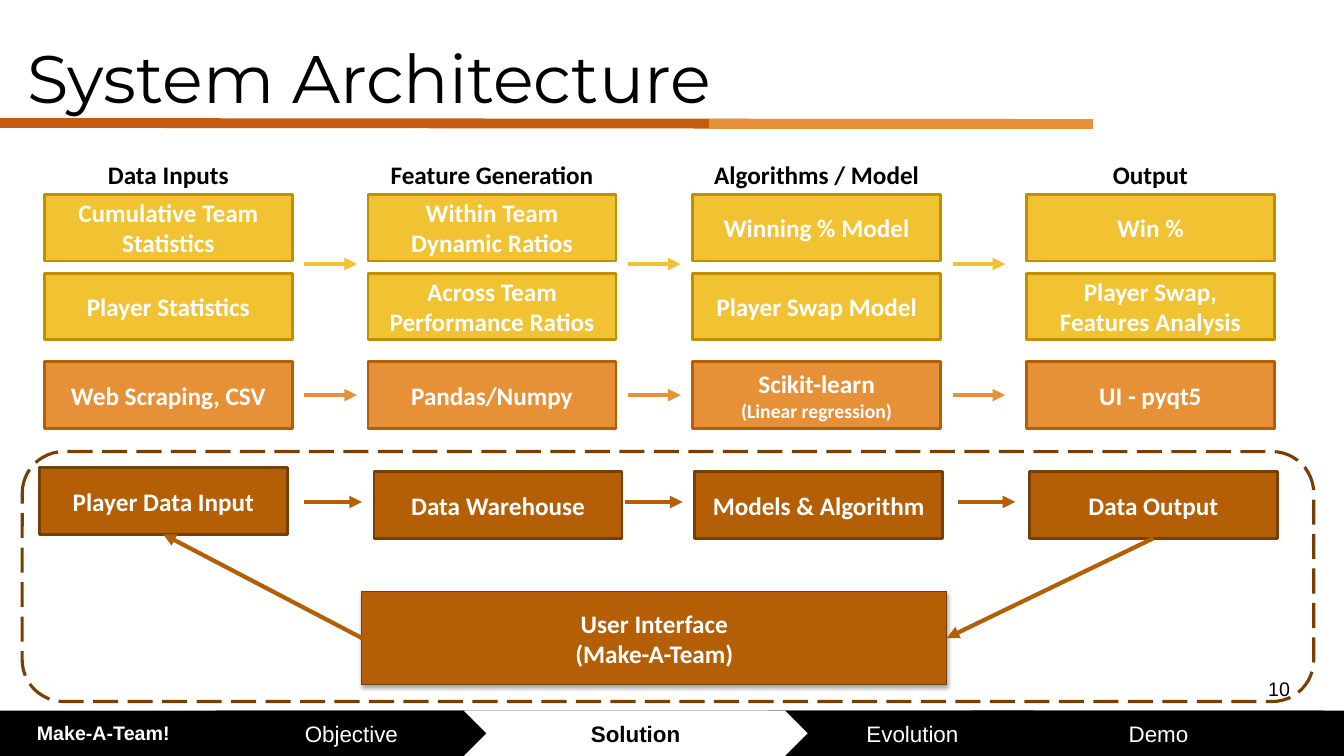
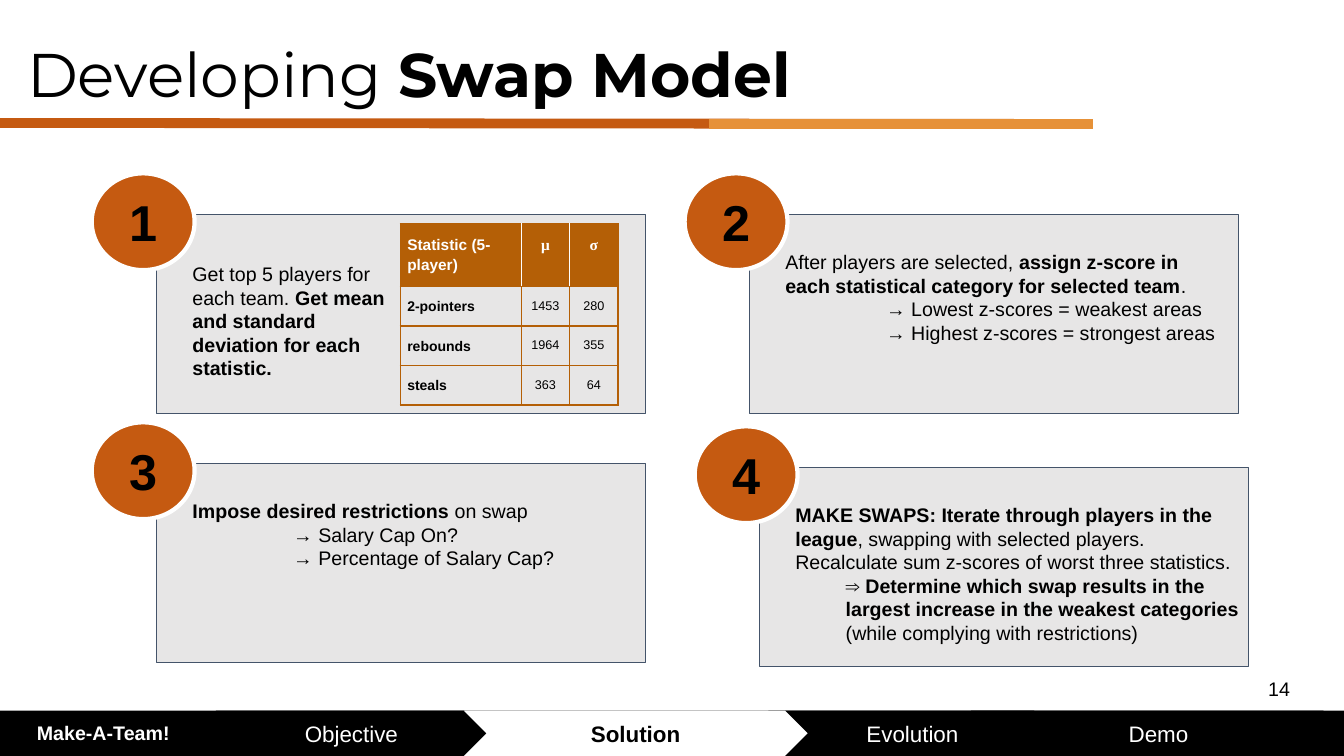
"""Build two slides: a system architecture diagram and the swap model steps."""
from dataclasses import dataclass
from typing import NamedTuple, Optional

from lxml.etree import SubElement
from pptx import Presentation
from pptx.dml.color import RGBColor
from pptx.enum.dml import MSO_LINE
from pptx.enum.shapes import MSO_CONNECTOR, MSO_SHAPE
from pptx.enum.text import MSO_ANCHOR as Anchor, PP_ALIGN as Align
from pptx.oxml.ns import qn
from pptx.oxml.xmlchemy import OxmlElement
from pptx.shapes.autoshape import Shape
from pptx.shapes.connector import Connector
from pptx.slide import Slide
from pptx.table import _Cell as Cell
from pptx.text.text import TextFrame
from pptx.util import Emu, Inches, Pt

COLUMNS, ROWS = 133.3, 75
GRID = Inches(0.1)


@dataclass(frozen=True)
class Theme:
    black: str = "000000"
    white: str = "FFFFFF"
    rust: str = "C55A11"
    orange: str = "E69138"
    brown: str = "B45F06"
    dark_brown: str = "783F04"
    yellow: str = "F1C232"
    gold: str = "BF9000"
    card: str = "E7E6E6"
    card_edge: str = "44546A"
    sans: str = "Arial"
    diagram: str = "Calibri"
    display: str = "Montserrat"
    greek: str = "Times New Roman"
    title: int = 48
    long_title: int = 44
    badge: int = 36
    node: int = 18
    tab: int = 16
    body: int = 14
    table_head: int = 11
    table_label: int = 10
    table_value: int = 9


THEME = Theme()


class Box(NamedTuple):
    left: float
    top: float
    width: float
    height: float


class Type(NamedTuple):
    size: int
    font: str = THEME.sans
    color: str = THEME.black
    bold: bool = False
    align: Align = Align.LEFT


class Outline(NamedTuple):
    color: str
    width: float


class Tab(NamedTuple):
    label: str
    left: float
    width: float
    active: bool = False


class Node(NamedTuple):
    label: str
    left: float
    top: float
    note: str = ""


class Flow(NamedTuple):
    fill: str
    edge: str
    nodes: tuple[Node, ...]
    arrow_row: float
    arrow_lefts: tuple[float, ...]
    arrow_length: float


class Card(NamedTuple):
    text: str
    left: float
    top: float
    text_width: float = 45.8
    text_drop: float = 2.5
    indent: float = 10


NODE_TYPE = Type(THEME.node, THEME.diagram, THEME.white, True, Align.CENTER)
HEADING_TYPE = NODE_TYPE._replace(color=THEME.black)
BODY_TYPE = Type(THEME.body)
BADGE_TYPE = Type(THEME.badge, bold=True, align=Align.CENTER)

TABS = (
    Tab("Objective", 21.4, 26.9),
    Tab("Evolution", 76.2, 28.6),
    Tab("Demo", 96.3, 37.2),
    Tab("Solution", 46, 34.1, True),
)
FOOTER_TOP, FOOTER_HEIGHT = 70.5, 4.5

NODE_WIDTH, NODE_HEIGHT = 24.6, 6.6
STAGE_LEFTS = (4.4, 36.5, 68.7, 101.8)
STAGE_ARROWS = tuple(left + NODE_WIDTH + 1.2 for left in STAGE_LEFTS[:-1])
HEADINGS = ("Data Inputs", "Feature Generation", "Algorithms / Model", "Output")


def stage_nodes(top: float, labels: tuple[str, ...]) -> tuple[Node, ...]:
    """Place one label in each stage; a line break marks off a smaller note."""
    return tuple(Node(label.partition("\n")[0], left, top, label.partition("\n")[2])
                 for label, left in zip(labels, STAGE_LEFTS))


FLOWS = (
    Flow(THEME.yellow, THEME.gold,
         stage_nodes(19.3, ("Cumulative Team Statistics", "Within Team Dynamic Ratios",
                            "Winning % Model", "Win %"))
         + stage_nodes(27.1, ("Player Statistics", "Across Team Performance Ratios",
                              "Player Swap Model", "Player Swap, Features Analysis")),
         26.2, STAGE_ARROWS, 5.2),
    Flow(THEME.orange, THEME.brown,
         stage_nodes(35.9, ("Web Scraping, CSV", "Pandas/Numpy",
                            "Scikit-learn\n(Linear regression)", "UI - pyqt5")),
         39.2, STAGE_ARROWS, 5.2),
    Flow(THEME.brown, THEME.dark_brown,
         (Node("Player Data Input", 3.9, 46.4), Node("Data Warehouse", 37.1, 46.8),
          Node("Models & Algorithm", 68.9, 46.8), Node("Data Output", 102.1, 46.8)),
         49.8, (30.2, 62, 95), 5.7),
)

CARDS = (
    Card("Get top 5 players for each team. *Get mean and standard deviation "
         "for each statistic.*", 15.5, 21.3, 21.6, 3.7),
    Card("After players are selected, *assign z-score in each statistical category "
         "for selected team*.\n→ Lowest z-scores = weakest areas\n"
         "→ Highest z-scores = strongest areas", 74.3, 21.3),
    Card("*Impose desired restrictions* on swap\n→ Salary Cap On?\n"
         "→ Percentage of Salary Cap?", 15.5, 46),
    Card("*MAKE SWAPS: Iterate through players in the league*, swapping with selected "
         "players. Recalculate sum z-scores of worst three statistics.\n"
         "⇒* Determine which swap results in the largest increase in the weakest "
         "categories* (while complying with restrictions)", 75.3, 46.4, 46.7, indent=5),
)

STATISTICS = (
    ("Statistic (5-player)", "μ", "σ"),
    ("2-pointers", "1453", "280"),
    ("rebounds", "1964", "355"),
    ("steals", "363", "64"),
)
STATISTIC_COLUMNS = (12, 4.8, 4.8)
STATISTIC_ROWS = (5.8, 3.8, 3.8, 3.8)


def grid(cells: float) -> Emu:
    """Convert grid cells to a length."""
    return Emu(round(cells * GRID))


def place(box: Box) -> tuple[Emu, ...]:
    """Convert a box on the grid to lengths."""
    return tuple(grid(cells) for cells in box)


def write(frame: TextFrame, text: str, style: Type, indent: float = 0) -> None:
    """Write lines of text, bold between asterisks, with later lines indented."""
    frame.word_wrap = True
    frame.text = text
    for number, paragraph in enumerate(frame.paragraphs):
        pieces = paragraph.text.split("*")
        paragraph.clear()
        paragraph.alignment = style.align
        if number and indent:
            paragraph._p.get_or_add_pPr().set("marL", str(grid(indent)))
        for index, piece in enumerate(pieces):
            if piece:
                run = paragraph.add_run()
                run.text = piece
                run.font.size = Pt(style.size)
                run.font.name = style.font
                run.font.bold = style.bold or index % 2 == 1
                run.font.color.rgb = RGBColor.from_string(style.color)


def add_text(slide: Slide, box: Box, text: str, style: Type,
             inset: float = 1, indent: float = 0) -> None:
    """Add a text box with the given inset above and below."""
    frame = slide.shapes.add_textbox(*place(box)).text_frame
    frame.margin_top = frame.margin_bottom = grid(inset)
    write(frame, text, style, indent)


def add_block(slide: Slide, kind: MSO_SHAPE, box: Box, fill: Optional[str] = None,
              outline: Optional[Outline] = None, text: str = "",
              style: Type = NODE_TYPE) -> Shape:
    """Add a preset shape with optional fill, outline and text."""
    block = slide.shapes.add_shape(kind, *place(box))
    block.shadow.inherit = False
    if fill:
        block.fill.solid()
        block.fill.fore_color.rgb = RGBColor.from_string(fill)
    else:
        block.fill.background()
    if outline:
        block.line.color.rgb = RGBColor.from_string(outline.color)
        block.line.width = Pt(outline.width)
    else:
        block.line.fill.background()
    if text:
        block.text_frame.vertical_anchor = Anchor.MIDDLE
        write(block.text_frame, text, style)
    return block


def add_line(slide: Slide, start: tuple[float, float], end: tuple[float, float],
             outline: Outline, arrow: bool = False) -> Connector:
    """Add a straight line, with an arrowhead at its end if asked."""
    line = slide.shapes.add_connector(
        MSO_CONNECTOR.STRAIGHT, *(grid(cells) for cells in start + end))
    line.line.color.rgb = RGBColor.from_string(outline.color)
    line.line.width = Pt(outline.width)
    if arrow:
        SubElement(line.line._get_or_add_ln(), qn("a:tailEnd"), type="triangle")
    SubElement(line._element.spPr, qn("a:effectLst"))
    return line


def add_base(deck: Presentation, title: str, size: int, page: str) -> Slide:
    """Add a slide with the title, its rule, the footer tabs and page number."""
    slide = deck.slides.add_slide(deck.slide_layouts[6])
    add_line(slide, (0, 12.2), (108.4, 12.3), Outline(THEME.rust, 7))
    add_line(slide, (70.3, 12.3), (108.4, 12.3), Outline(THEME.orange, 7))
    add_block(slide, MSO_SHAPE.RECTANGLE,
              Box(0, FOOTER_TOP, COLUMNS, FOOTER_HEIGHT), THEME.black)
    add_text(slide, Box(2.3, FOOTER_TOP, 15.9, FOOTER_HEIGHT), "Make-A-Team!",
             Type(THEME.body, color=THEME.white, bold=True, align=Align.CENTER))
    for tab in TABS:
        fill, ink = (THEME.white, THEME.black) if tab.active else (THEME.black, THEME.white)
        add_block(slide, MSO_SHAPE.CHEVRON,
                  Box(tab.left, FOOTER_TOP, tab.width, FOOTER_HEIGHT), fill, None, tab.label,
                  Type(THEME.tab, color=ink, bold=tab.active, align=Align.CENTER))
    add_text(slide, Box(1.7, 2.6, 131.6, 9.6), title, Type(size, THEME.display))
    add_text(slide, Box(124.8, 66.7, 8, 5.7), page, BODY_TYPE, 0.5)
    return slide


def add_flow(slide: Slide, flow: Flow) -> list[Shape]:
    """Draw the nodes and arrows of one flow."""
    for left in flow.arrow_lefts:
        add_line(slide, (left, flow.arrow_row), (left + flow.arrow_length, flow.arrow_row),
                 Outline(flow.fill, 3), True)
    blocks = []
    for node in flow.nodes:
        label = f"{node.label}\n{node.note}" if node.note else node.label
        block = add_block(slide, MSO_SHAPE.RECTANGLE,
                          Box(node.left, node.top, NODE_WIDTH, NODE_HEIGHT),
                          flow.fill, Outline(flow.edge, 2), label)
        if node.note:
            block.text_frame.paragraphs[1].runs[0].font.size = Pt(THEME.body)
        blocks.append(block)
    return blocks


def add_shadow(block: Shape) -> None:
    """Give a shape a soft shadow below it."""
    shadow = SubElement(block._element.spPr.find(qn("a:effectLst")), qn("a:outerShdw"),
                        blurRad=str(Pt(3.1)), dist=str(Pt(1.8)), dir="5400000")
    tint = SubElement(shadow, qn("a:srgbClr"), val=THEME.black)
    SubElement(tint, qn("a:alpha"), val="35000")


def build_architecture(deck: Presentation) -> None:
    """Draw the system architecture slide."""
    slide = add_base(deck, "System Architecture", THEME.title, "10")
    for heading, left in zip(HEADINGS, STAGE_LEFTS):
        add_text(slide, Box(left, 15.3, NODE_WIDTH, 3), heading, HEADING_TYPE, 0.5)
    *_, system = [add_flow(slide, flow) for flow in FLOWS]
    interface = add_block(slide, MSO_SHAPE.RECTANGLE, Box(35.9, 58.7, 58, 9.2), THEME.brown,
                          Outline(THEME.dark_brown, 0.75), "User Interface\n(Make-A-Team)")
    add_shadow(interface)
    for source, start, target, end in ((system[-1], 2, interface, 3),
                                       (interface, 1, system[0], 2)):
        link = add_line(slide, (0, 0), (1, 1), Outline(THEME.brown, 3), True)
        link.begin_connect(source, start)
        link.end_connect(target, end)
    boundary = add_block(slide, MSO_SHAPE.ROUNDED_RECTANGLE, Box(2.2, 44.8, 128.1, 24.8),
                         None, Outline(THEME.dark_brown, 2.25))
    boundary.line.dash_style = MSO_LINE.LONG_DASH


def set_borders(cell: Cell, colors: dict[str, str]) -> None:
    """Draw the four borders of a table cell."""
    for index, (side, color) in enumerate(colors.items()):
        edge = OxmlElement(f"a:{side}")
        edge.set("w", str(Pt(1 if color == THEME.brown else 0.75)))
        SubElement(SubElement(edge, qn("a:solidFill")), qn("a:srgbClr"), val=color)
        cell._tc.get_or_add_tcPr().insert(index, edge)


def add_statistics(slide: Slide) -> None:
    """Add the table of means and deviations."""
    box = Box(39.7, 22.2, sum(STATISTIC_COLUMNS), sum(STATISTIC_ROWS))
    table = slide.shapes.add_table(len(STATISTICS), len(STATISTICS[0]), *place(box)).table
    table.horz_banding = False
    for column, width in zip(table.columns, STATISTIC_COLUMNS):
        column.width = grid(width)
    for r, (row, height) in enumerate(zip(STATISTICS, STATISTIC_ROWS)):
        table.rows[r].height = grid(height)
        for c, value in enumerate(row):
            cell = table.cell(r, c)
            cell.margin_left = cell.margin_right = grid(0.7)
            cell.margin_top = cell.margin_bottom = grid(1)
            align = Align.CENTER if c else Align.LEFT
            if r == 0:
                cell.fill.solid()
                cell.fill.fore_color.rgb = RGBColor.from_string(THEME.brown)
                style = Type(THEME.table_head, THEME.greek if c else THEME.sans,
                             THEME.white, True, align)
            else:
                cell.fill.background()
                style = Type(THEME.table_value if c else THEME.table_label,
                             bold=c == 0, align=align)
            write(cell.text_frame, value, style)
            cell.text_frame.paragraphs[0].line_spacing = 1.15
            inner = THEME.white if r == 0 else THEME.brown
            set_borders(cell, {"lnL": inner if c else THEME.brown,
                               "lnR": inner if c < len(row) - 1 else THEME.brown,
                               "lnT": THEME.brown, "lnB": THEME.brown})


def build_swap_model(deck: Presentation) -> None:
    """Draw the four steps of the swap model."""
    slide = add_base(deck, "Developing *Swap Model*", THEME.long_title, "14")
    for number, card in enumerate(CARDS, 1):
        add_block(slide, MSO_SHAPE.RECTANGLE, Box(card.left, card.top, 48.5, 19.7),
                  THEME.card, Outline(THEME.card_edge, 0.75))
        add_block(slide, MSO_SHAPE.OVAL, Box(card.left - 6.4, card.top - 4.1, 10.2, 9.6),
                  THEME.rust, Outline(THEME.white, 3), str(number), BADGE_TYPE)
        add_text(slide, Box(card.left + 2.6, card.top + card.text_drop, card.text_width, 14.2),
                 card.text, BODY_TYPE, indent=card.indent)
    add_statistics(slide)


def main() -> None:
    """Build and save the deck."""
    deck = Presentation()
    deck.slide_width, deck.slide_height = grid(COLUMNS), grid(ROWS)
    build_architecture(deck)
    build_swap_model(deck)
    deck.save("out.pptx")


if __name__ == "__main__":
    main()
